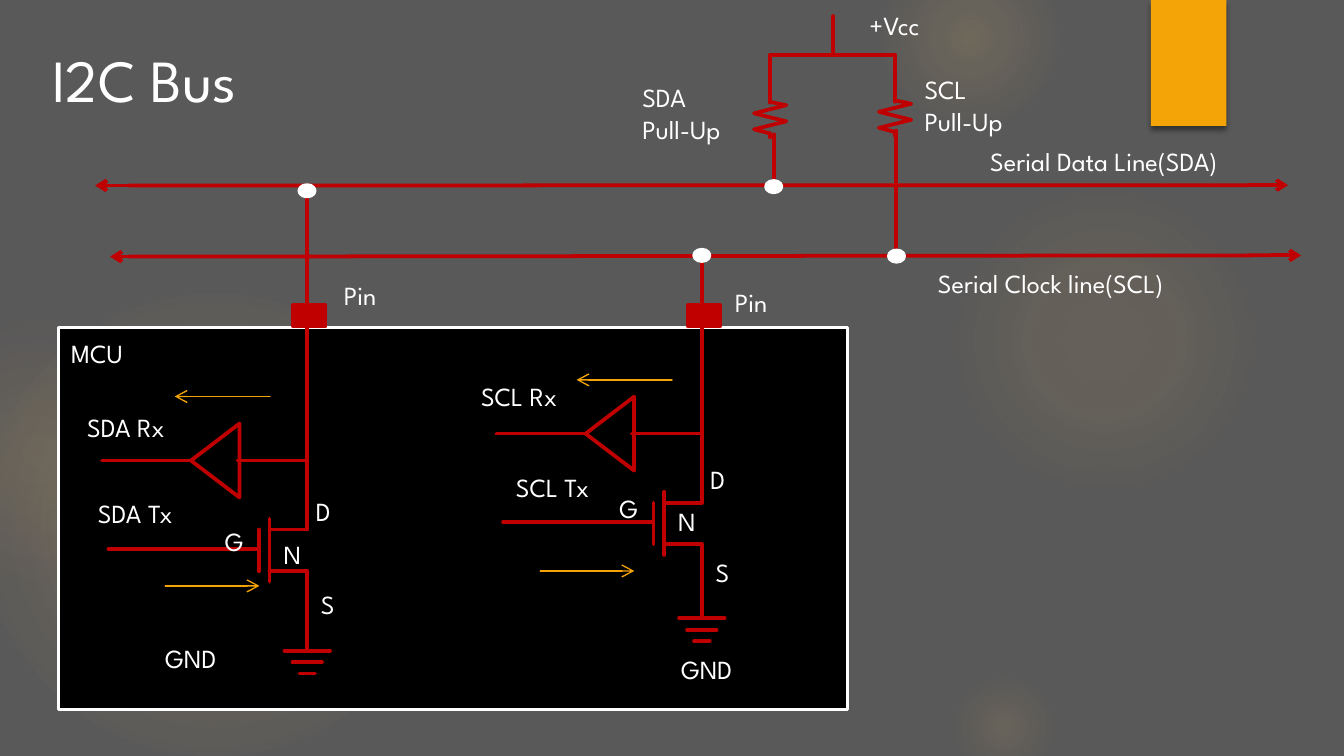
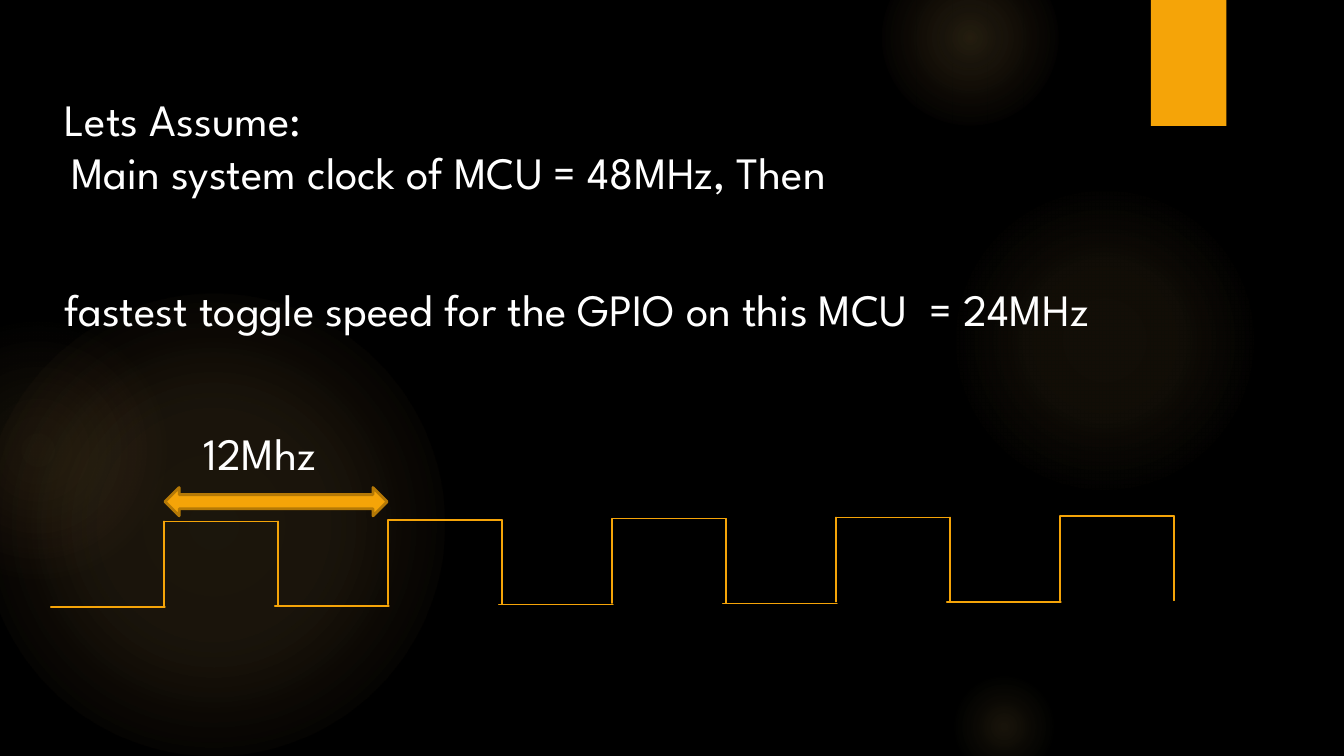
"""Build two slides on the I2C bus circuit and the GPIO toggle speed."""
import itertools
from dataclasses import dataclass

import pptx
import pptx.dml.color
import pptx.enum.shapes
import pptx.enum.text
import pptx.oxml
import pptx.oxml.ns
import pptx.util

FONT = "League Spartan"
WHITE, BLACK, GREY = "FFFFFF", "000000", "595959"
RED, AMBER, BROWN = "C00000", "F5A408", "B57906"
GLOW, GLOW_EDGE = "FAC96A", "F59B74"
KINDS = pptx.enum.shapes.MSO_SHAPE
DRAWING = 'xmlns:a="http://schemas.openxmlformats.org/drawingml/2006/main"'

Point = tuple[float, float]


@dataclass(frozen=True)
class Box:
    """Place and size in points."""
    left: float
    top: float
    width: float
    height: float

    def lengths(self) -> list[pptx.util.Length]:
        """Return the four lengths for a shape call."""
        return [pptx.util.Pt(value) for value in (self.left, self.top, self.width, self.height)]


@dataclass(frozen=True)
class Glow:
    """Round soft light: position, stops and opacities in percent."""
    left: float
    top: float
    size: float
    stops: tuple[tuple[int, str, int], ...]


@dataclass(frozen=True)
class Label:
    """One text box."""
    left: float
    top: float
    width: float
    text: str
    size: float = 14


@dataclass(frozen=True)
class Bus:
    """Horizontal bus line with its arrow tips."""
    left_tip: float
    left: float
    left_y: float
    right: float
    right_tip: float
    right_y: float


@dataclass(frozen=True)
class Channel:
    """Receiver and transistor placed from the drain corner."""
    x: float
    bus_y: float
    drain_y: float
    ground_y: float
    label_y: float


GLOWS = (
    Glow(-9.4, 157.5, 247.5, ((0, GLOW, 11), (36, GLOW, 10), (75, GLOW, 0))),
    Glow(-49.5, 171.5, 139.5, ((0, GLOW, 8), (36, GLOW, 5), (71, GLOW_EDGE, 0))),
    Glow(508.5, 99, 166.5, ((0, GLOW, 7), (36, GLOW, 6), (69, GLOW, 0))),
    Glow(472.5, -27, 94.5, ((0, GLOW, 14), (36, GLOW, 7), (73, GLOW, 0))),
    Glow(508.5, 360, 58.5, ((0, GLOW, 10), (31, GLOW, 5), (66, GLOW, 0))),
)
BUSES = (
    Bus(51, 69, 99.4, 669, 690, 99.2),
    Bus(59, 69, 137.5, 681, 697, 136.8),
)
CHANNELS = (
    Channel(164.6, 101.5, 283.7, 348.6, 283.7),
    Channel(376, 137.5, 269.3, 331.2, 266.4),
)
TRANSISTOR = (
    ((-20.2, -5.8), (-20.2, 28)),
    ((-25.9, 0), (-25.9, 22.3)),
    ((-26, 10.5), (-106.5, 10.5)),
    ((-110, -37), (-62.6, -37)),
    ((-20.2, 0), (0, 0)),
    ((-20.2, 22.3), (0, 22.3)),
    ((-37.4, -37), (0, -37)),
    ((0, -37), (0, 0)),
)
GROUND_BARS = ((0, 12.2), (6.2, 7.9), (12.2, 4.2))
TERMINALS = (
    Label(0.3, 28, 21.6, "S"),
    Label(-19.8, 1, 25.2, "N"),
    Label(-51.2, -6, 26.6, "G"),
    Label(-2.5, -21.7, 25.2, "D"),
)
ZIGZAG = ((0, 0), (0, 2), (8.6, 3.8), (-8.6, 8.1), (8.6, 12.4), (-8.6, 16.7), (0, 18.9), (0, 21))
RESISTORS = ((412.6, 52.6), (479.5, 51.8))
SUPPLY_WIRES = (
    ((412.6, 29.5), (412.6, 55)),
    ((479.5, 29.5), (479.5, 54.5)),
    ((480.2, 70), (480.2, 139)),
    ((414.7, 72), (414.7, 101.5)),
    ((412.6, 29.5), (479.5, 29.5)),
    ((446.4, 8.6), (446.4, 29)),
)
JUNCTIONS = ((164.5, 102.2), (376, 136.8), (414.5, 100), (480.3, 137.2))
FLOWS = (
    ((88.5, 313.9), (139, 313.9)),
    ((289.4, 305.9), (339.8, 305.9)),
    ((144.7, 212.4), (93.6, 212.4)),
    ((360, 203.5), (308.9, 203.5)),
)
CIRCUIT_LABELS = (
    Label(20.9, 19.4, 126, "I2C Bus", 32),
    Label(495.4, 139.7, 157, "Serial Clock line(SCL)"),
    Label(523.4, 74.2, 158.4, "Serial Data Line(SDA)"),
    Label(458.6, 1.4, 51, "+Vcc"),
    Label(81.4, 340.6, 47.5, "GND"),
    Label(357.8, 346.3, 47.5, "GND"),
    Label(31, 177.1, 48.2, "MCU"),
    Label(177.1, 146.2, 34.6, "Pin"),
    Label(386.6, 149.8, 34.6, "Pin"),
    Label(39.6, 216.7, 62, "SDA Rx"),
    Label(45.4, 262.8, 59, "SDA Tx"),
    Label(250.6, 200.2, 59, "SCL Rx"),
    Label(269.3, 249.1, 56.2, "SCL Tx"),
    Label(488.2, 36, 64, "SCL\nPull-Up"),
    Label(337, 40.3, 64, "SDA\nPull-Up"),
)
SPEED_LABELS = (
    Label(27.4, 45.4, 162.7, "Lets Assume:", 24),
    Label(31, 73.8, 503.3, "Main system clock of MCU = 48MHz, Then", 24),
    Label(27.4, 147.6, 662.4, "fastest toggle speed for the GPIO on this MCU  = 24MHz", 24),
    Label(102.2, 224.6, 88.6, "12Mhz", 24),
)


def color(value: str) -> pptx.dml.color.RGBColor:
    """Turn a hex string into a colour."""
    return pptx.dml.color.RGBColor.from_string(value)


def add_box(page, kind, box: Box, fill: str | None, line: str | None = None, width: float = 2):
    """Draw a preset shape without shadow."""
    shape = page.shapes.add_shape(kind, *box.lengths())
    if fill:
        shape.fill.solid()
        shape.fill.fore_color.rgb = color(fill)
    else:
        shape.fill.background()
    if line:
        shape.line.color.rgb = color(line)
        shape.line.width = pptx.util.Pt(width)
    else:
        shape.line.fill.background()
    shape.shadow.inherit = False
    return shape


def add_line(page, start: Point, end: Point, hue: str = RED, width: float = 2, arrow: bool = False) -> None:
    """Draw a straight line, with an arrowhead at its end if asked."""
    ends = [pptx.util.Pt(value) for value in (*start, *end)]
    line = page.shapes.add_connector(pptx.enum.shapes.MSO_CONNECTOR.STRAIGHT, *ends)
    line.line.color.rgb = color(hue)
    line.line.width = pptx.util.Pt(width)
    properties = line.element.spPr
    outline = properties.find(pptx.oxml.ns.qn("a:ln"))
    outline.set("cap", "rnd")
    if arrow:
        outline.append(pptx.oxml.parse_xml(f'<a:tailEnd {DRAWING} type="arrow"/>'))
    properties.append(pptx.oxml.parse_xml(f"<a:effectLst {DRAWING}/>"))


def add_label(page, label: Label, origin: Point = (0, 0)) -> None:
    """Write a text box, moved by the origin."""
    lines = label.text.count("\n") + 1
    height = 7.2 + lines * label.size * 1.2
    box = Box(origin[0] + label.left, origin[1] + label.top, label.width, height)
    frame = page.shapes.add_textbox(*box.lengths()).text_frame
    frame.word_wrap = False
    frame.auto_size = pptx.enum.text.MSO_AUTO_SIZE.SHAPE_TO_FIT_TEXT
    frame.text = label.text
    for para in frame.paragraphs:
        for span in para.runs:
            span.font.name = FONT
            span.font.size = pptx.util.Pt(label.size)
            span.font.color.rgb = color(WHITE)


def add_glow(page, glow: Glow) -> None:
    """Draw a circle that fades towards its rim."""
    shape = add_box(page, KINDS.OVAL, Box(glow.left, glow.top, glow.size, glow.size), None)
    stops = "".join(
        f'<a:gs pos="{place * 1000}"><a:srgbClr val="{hue}"><a:alpha val="{opacity * 1000}"/></a:srgbClr></a:gs>'
        for place, hue, opacity in glow.stops
    )
    gradient = pptx.oxml.parse_xml(
        f'<a:gradFill {DRAWING} rotWithShape="1"><a:gsLst>{stops}</a:gsLst><a:path path="circle">'
        '<a:fillToRect l="50000" t="50000" r="50000" b="50000"/></a:path></a:gradFill>'
    )
    properties = shape.element.spPr
    properties.replace(properties.find(pptx.oxml.ns.qn("a:noFill")), gradient)


def add_page(deck, background: str):
    """Add a blank page with the shared glows and amber tab."""
    page = deck.slides.add_slide(deck.slide_layouts[6])
    page.background.fill.solid()
    page.background.fill.fore_color.rgb = color(background)
    for glow in GLOWS:
        add_glow(page, glow)
    tab = add_box(page, KINDS.RECTANGLE, Box(616.5, 0, 40.5, 67.5), AMBER)
    effects = tab.element.spPr.find(pptx.oxml.ns.qn("a:effectLst"))
    effects.append(pptx.oxml.parse_xml(
        f'<a:outerShdw {DRAWING} blurRad="38100" dist="25400" dir="5400000" rotWithShape="0">'
        f'<a:srgbClr val="{BLACK}"><a:alpha val="45000"/></a:srgbClr></a:outerShdw>'
    ))
    return page


def add_channel(page, channel: Channel) -> None:
    """Draw one pin's receiver, transistor and ground."""
    x, y = channel.x, channel.drain_y
    add_line(page, (x, channel.bus_y), (x, y - 37))
    for start, end in TRANSISTOR:
        add_line(page, (x + start[0], y + start[1]), (x + end[0], y + end[1]))
    buffer = add_box(page, KINDS.ISOSCELES_TRIANGLE, Box(x - 69.1, y - 50, 39.6, 26), None, RED)
    buffer.rotation = 270
    add_line(page, (x, y + 22.3), (x, channel.ground_y))
    for drop, half in GROUND_BARS:
        level = channel.ground_y + drop
        add_line(page, (x - half, level), (x + half, level))
    add_box(page, KINDS.RECTANGLE, Box(x - 7.5, 163.4, 17.3, 11.5), RED, RED)
    for terminal in TERMINALS:
        add_label(page, terminal, (x, channel.label_y))


def build_circuit(deck) -> None:
    """Build the I2C bus page."""
    page = add_page(deck, GREY)
    add_box(page, KINDS.RECTANGLE, Box(31.2, 175.5, 422.8, 204.7), BLACK, WHITE, 1.5)
    for channel in CHANNELS:
        add_channel(page, channel)
    for bus in BUSES:
        left, right = (bus.left, bus.left_y), (bus.right, bus.right_y)
        add_line(page, left, right)
        add_line(page, left, (bus.left_tip, bus.left_y), arrow=True)
        add_line(page, right, (bus.right_tip, bus.right_y), arrow=True)
    for x, y in RESISTORS:
        for start, end in itertools.pairwise(ZIGZAG):
            add_line(page, (x + start[0], y + start[1]), (x + end[0], y + end[1]))
    for start, end in SUPPLY_WIRES:
        add_line(page, start, end)
    for x, y in JUNCTIONS:
        add_box(page, KINDS.OVAL, Box(x - 4, y - 2.9, 8, 5.8), WHITE, WHITE, 2.25)
    for start, end in FLOWS:
        add_line(page, start, end, AMBER, 0.75, True)
    for label in CIRCUIT_LABELS:
        add_label(page, label)


def build_speed(deck) -> None:
    """Build the toggle speed page with its square wave."""
    page = add_page(deck, BLACK)
    for cycle in range(5):
        rise, high = 87.8 + 120 * cycle, 279.3 - 0.7 * cycle
        fall, low = rise + 61.2, high + 46
        add_line(page, (rise - 60.6, low), (rise + 0.6, low), AMBER, 0.75)
        add_line(page, (rise, high), (fall, high), AMBER, 0.75)
        for x in (rise, fall):
            add_line(page, (x, high), (x, high + 45.2), AMBER, 0.75)
    add_box(page, KINDS.LEFT_RIGHT_ARROW, Box(88.4, 261.2, 119, 15.2), AMBER, BROWN, 1.5)
    for label in SPEED_LABELS:
        add_label(page, label)


def main() -> None:
    """Build and save the deck."""
    deck = pptx.Presentation()
    deck.slide_width, deck.slide_height = pptx.util.Pt(720), pptx.util.Pt(405)
    build_circuit(deck)
    build_speed(deck)
    deck.save("out.pptx")


if __name__ == "__main__":
    main()
